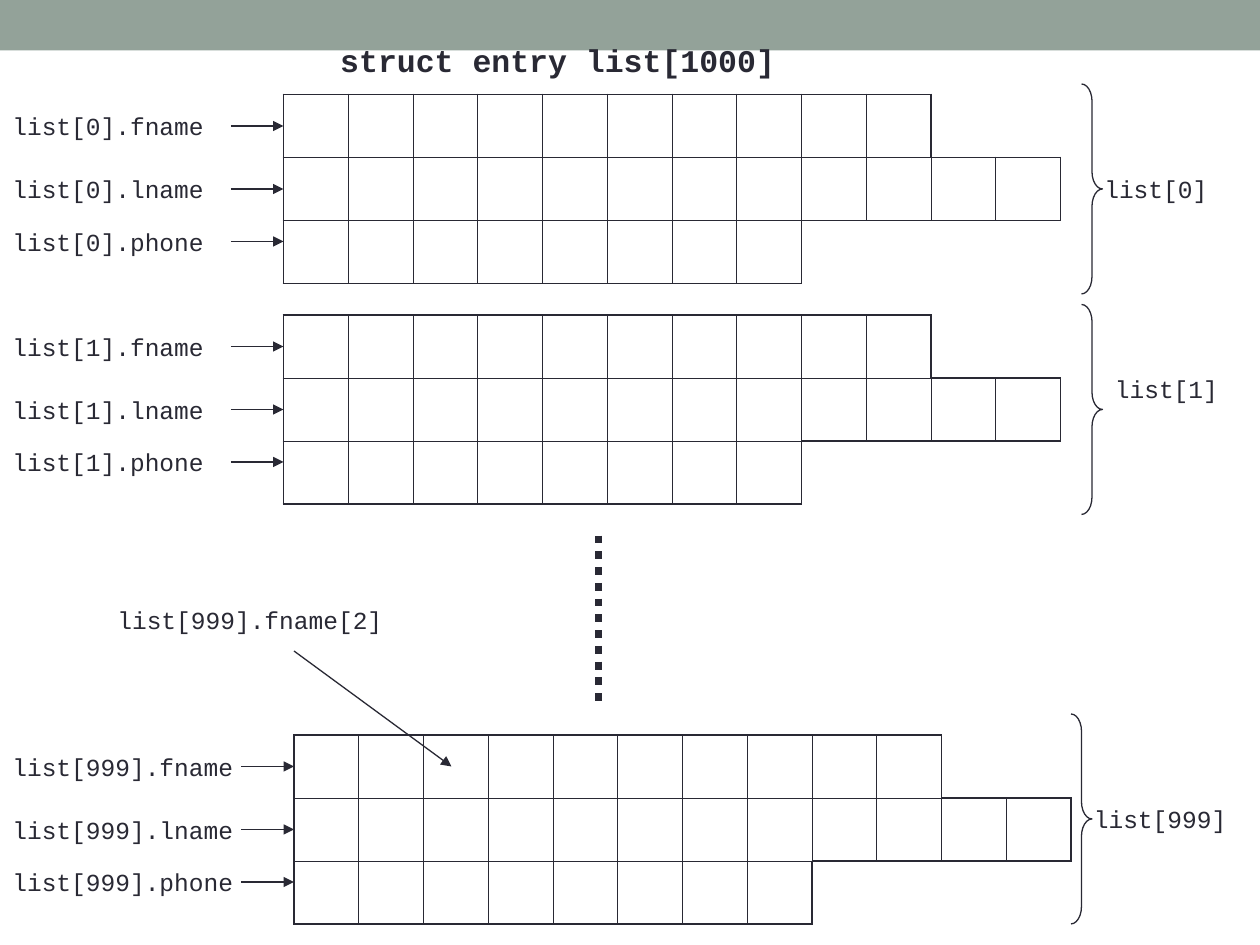
from dataclasses import dataclass

from lxml import etree
from pptx import Presentation
from pptx.dml.color import RGBColor
from pptx.enum.dml import MSO_LINE
from pptx.enum.shapes import MSO_CONNECTOR, MSO_SHAPE
from pptx.enum.text import MSO_ANCHOR, MSO_AUTO_SIZE, PP_ALIGN
from pptx.oxml.ns import qn
from pptx.util import Inches, Pt

STRAIGHT = MSO_CONNECTOR.STRAIGHT
RECTANGLE, RIGHT_BRACE = MSO_SHAPE.RECTANGLE, MSO_SHAPE.RIGHT_BRACE
DOTTED = MSO_LINE.ROUND_DOT
LEFT, TOP = PP_ALIGN.LEFT, MSO_ANCHOR.TOP
FIT_SHAPE = MSO_AUTO_SIZE.SHAPE_TO_FIT_TEXT

INK = RGBColor(0x29, 0x29, 0x34)
SAGE = RGBColor(0x93, 0xA2, 0x99)
FONT = "Courier New"

COLS, ROWS = 120, 90
UNIT = Inches(10) // COLS
LABEL_H, FIELD_LABEL_W = 4, 24
TABLE_W, TABLE_H = 74, 18
BRACE_W, BRACE_H = 2, 20
ARROW_W, ARROW_DROP = 5, 2
LINE_WIDTH, DOTS_WIDTH = 0.75, 4.5
NO_BORDER, OUTER_BORDER, INNER_BORDER = 0, 1.08, 0.45
BORDER_BY_USED_CELLS = (NO_BORDER, OUTER_BORDER, INNER_BORDER)
NEIGHBORS = {"lnL": (0, -1), "lnR": (0, 1), "lnT": (-1, 0), "lnB": (1, 0)}


@dataclass
class Field:
    name: str
    size: int
    label_offset: int


@dataclass
class Entry:
    name: str
    col: int
    row: int
    brace_col: int
    brace_row: int
    label_col: int
    label_row: int
    label_w: int


FIELDS = [Field("fname", 10, 1), Field("lname", 12, 7), Field("phone", 8, 12)]

ENTRIES = [
    Entry("list[0]", 27, 9, 103, 8, 104, 16, 19),
    Entry("list[1]", 27, 30, 103, 29, 105, 35, 15),
    Entry("list[999]", 28, 70, 102, 68, 103, 76, 19),
]


def grid(*cells: float) -> list[int]:
    return [round(n * UNIT) for n in cells]


def set_all(target, values: dict) -> None:
    for name, value in values.items():
        setattr(target, name, value)


def write(sp, text: str, size: int, bold: bool = False) -> None:
    tf = sp.text_frame
    set_all(tf, {"word_wrap": True, "auto_size": FIT_SHAPE, "vertical_anchor": TOP})
    p = tf.paragraphs[0]
    p.alignment = LEFT
    r = p.add_run()
    r.text = text
    set_all(r.font, {"name": FONT, "size": Pt(size), "bold": bold})
    r.font.color.rgb = INK


def add_title(s, text: str) -> None:
    sp = s.shapes.title
    left, top, width, height = grid(31.2, 3.3, 59, 4.8)
    set_all(sp, {"left": left, "top": top, "width": width, "height": height})
    write(sp, text, 18, bold=True)


def add_top_bar(s) -> None:
    sp = s.shapes.add_shape(RECTANGLE, *grid(0, 0, COLS, 4.8))
    sp.shadow.inherit = False
    sp.fill.solid()
    sp.fill.fore_color.rgb = SAGE
    sp.line.fill.background()
    s.shapes._spTree.insert(2, sp._element)


def add_label(s, text: str, col: float, row: float, width: float) -> None:
    write(s.shapes.add_textbox(*grid(col, row, width, LABEL_H)), text, 14)


def add_line(s, start: tuple, end: tuple, width: float = LINE_WIDTH):
    line = s.shapes.add_connector(STRAIGHT, *grid(*start, *end))
    line.line.color.rgb = INK
    line.line.width = Pt(width)
    etree.SubElement(line._element.spPr, qn("a:effectLst"))
    return line


def add_arrow(s, start: tuple, end: tuple) -> None:
    ln = add_line(s, start, end).line._get_or_add_ln()
    etree.SubElement(ln, qn("a:tailEnd"), type="triangle")


def add_brace(s, col: float, row: float) -> None:
    sp = s.shapes.add_shape(RIGHT_BRACE, *grid(col, row, BRACE_W, BRACE_H))
    sp.shadow.inherit = False
    sp.adjustments[0] = 0.83
    sp.fill.background()
    sp.line.color.rgb = INK
    sp.line.width = Pt(LINE_WIDTH)


def set_border(cell, side: str, width: float) -> None:
    ln = etree.SubElement(cell._tc.get_or_add_tcPr(), qn(f"a:{side}"), w=str(Pt(width)))
    if width == NO_BORDER:
        etree.SubElement(ln, qn("a:noFill"))
    else:
        fill = etree.SubElement(ln, qn("a:solidFill"))
        etree.SubElement(fill, qn("a:srgbClr"), val=str(INK))


def is_used(row: int, col: int) -> bool:
    return 0 <= row < len(FIELDS) and 0 <= col < FIELDS[row].size


def add_array_table(s, left: float, top: float) -> None:
    n_rows, n_cols = len(FIELDS), max(field.size for field in FIELDS)
    frame = s.shapes.add_table(n_rows, n_cols, *grid(left, top, TABLE_W, TABLE_H))
    table = frame.table
    set_all(table, {"first_row": False, "horz_banding": False})
    for row in range(n_rows):
        for col in range(n_cols):
            cell = table.cell(row, col)
            for side, (down, right) in NEIGHBORS.items():
                used_cells = is_used(row, col) + is_used(row + down, col + right)
                set_border(cell, side, BORDER_BY_USED_CELLS[used_cells])
            cell.fill.background()


def add_entry(s, entry: Entry) -> None:
    add_array_table(s, entry.col, entry.row)
    add_brace(s, entry.brace_col, entry.brace_row)
    add_label(s, entry.name, entry.label_col, entry.label_row, entry.label_w)
    for field in FIELDS:
        label_row = entry.row + field.label_offset
        arrow_row = label_row + ARROW_DROP
        add_label(s, f"{entry.name}.{field.name}", 0, label_row, FIELD_LABEL_W)
        add_arrow(s, (entry.col - ARROW_W, arrow_row), (entry.col, arrow_row))


def main() -> None:
    prs = Presentation()
    prs.slide_width, prs.slide_height = grid(COLS, ROWS)
    s = prs.slides.add_slide(prs.slide_layouts[5])

    add_top_bar(s)
    add_title(s, "struct entry list[1000]")
    for entry in ENTRIES:
        add_entry(s, entry)

    dots = add_line(s, (57, 51), (57, 67), DOTS_WIDTH)
    dots.line.dash_style = DOTTED
    add_label(s, "list[999].fname[2]", 10, 57, 36)
    add_arrow(s, (28, 62), (43, 73))
    prs.save("out.pptx")


if __name__ == "__main__":
    main()
